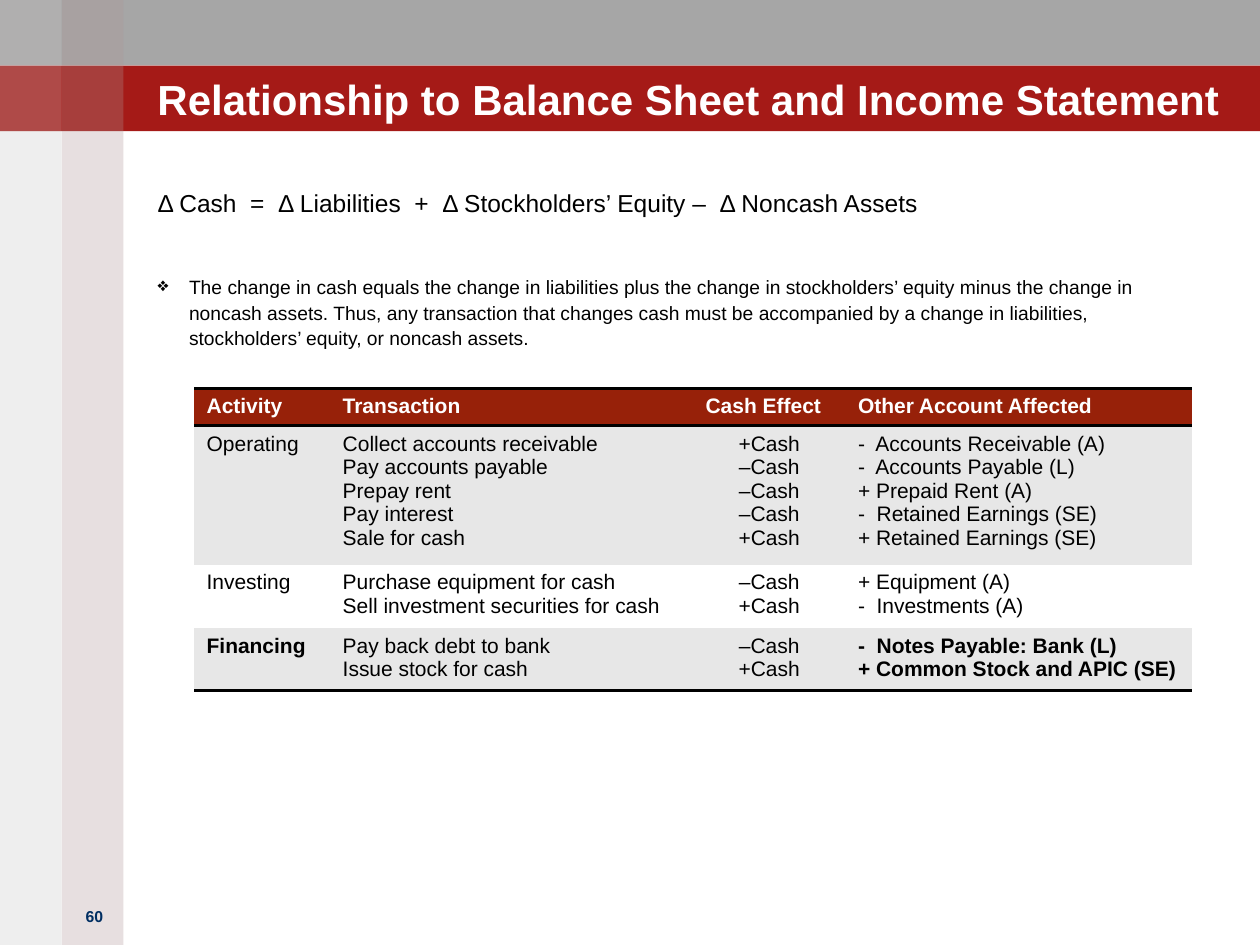
from lxml.etree import SubElement
from pptx import Presentation
from pptx.dml.color import RGBColor
from pptx.enum.shapes import MSO_SHAPE
from pptx.enum.text import MSO_ANCHOR, PP_ALIGN
from pptx.oxml.ns import qn
from pptx.util import Inches, Pt

GRAY = RGBColor(0xA6, 0xA6, 0xA6)
RED = RGBColor(0xA5, 0x1A, 0x17)
ROSE = RGBColor(0xA0, 0x82, 0x84)
TAUPE = RGBColor(0x93, 0x8F, 0x8F)
WHITE = RGBColor(0xFF, 0xFF, 0xFF)
BLACK = RGBColor(0, 0, 0)
NAVY = RGBColor(0x00, 0x2E, 0x62)
BRICK = RGBColor(0x97, 0x21, 0x09)
PALE = RGBColor(0xE7, 0xE7, 0xE7)

PLAIN_TABLE = "{2D5ABB26-0587-4C30-8999-92F81FD0307C}"
FORMULA = "Δ Cash  =  Δ Liabilities  +  Δ Stockholders’ Equity –  Δ Noncash Assets"
EXPLANATION = (
    "The change in cash equals the change in liabilities plus the change in "
    "stockholders’ equity minus the change in noncash assets. Thus, any transaction "
    "that changes cash must be accompanied by a change in liabilities, "
    "stockholders’ equity, or noncash assets."
)
HEADINGS = ["Activity", "Transaction", "Cash Effect", "Other Account Affected"]
ACTIVITIES = [
    ("Operating", [
        ("Collect accounts receivable", "+Cash", "-  Accounts Receivable (A)"),
        ("Pay accounts payable", "–Cash", "-  Accounts Payable (L)"),
        ("Prepay rent", "–Cash", "+ Prepaid Rent (A)"),
        ("Pay interest", "–Cash", "-  Retained Earnings (SE)"),
        ("Sale for cash", "+Cash", "+ Retained Earnings (SE)"),
    ]),
    ("Investing", [
        ("Purchase equipment for cash", "–Cash", "+ Equipment (A)"),
        ("Sell investment securities for cash", "+Cash", "-  Investments (A)"),
    ]),
    ("Financing", [
        ("Pay back debt to bank", "–Cash", "-  Notes Payable: Bank (L)"),
        ("Issue stock for cash", "+Cash", "+ Common Stock and APIC (SE)"),
    ]),
]


def set_format(target, values):
    """Set every attribute named in values on the target."""
    for name, value in values.items():
        setattr(target, name, value)


def write(para, text, size, color=BLACK, bold=False, **layout):
    """Put one formatted run into a paragraph."""
    span = para.add_run()
    span.text = text
    set_format(span.font, {"name": "Arial", "size": Pt(size), "bold": bold})
    span.font.color.rgb = color
    set_format(para, layout)


def add_block(page, box, color, opacity=100):
    """Add a flat rectangle with the given opacity in percent."""
    block = page.shapes.add_shape(MSO_SHAPE.RECTANGLE, *map(Inches, box))
    block.shadow.inherit = False
    block.fill.solid()
    block.fill.fore_color.rgb = color
    block.line.fill.background()
    if opacity < 100:
        tint = block.fill._xPr.find(".//" + qn("a:srgbClr"))
        SubElement(tint, qn("a:alpha"), val=str(opacity * 1000))


def add_text_frame(page, box, **values):
    """Add a wrapping text box and return its frame."""
    frame = page.shapes.add_textbox(*map(Inches, box)).text_frame
    set_format(frame, {"word_wrap": True, **values})
    return frame


def add_backdrop(page, box):
    """Draw the two header bands and the translucent side strips."""
    left, top, width, height = box
    band, strip = 0.52, 0.49
    for row, color in enumerate((GRAY, RED)):
        add_block(page, (left, top + row * band, width, band), color)
    strips = ((left + strip, ROSE, 25, 5), (left, TAUPE, 15, 15))
    for x, color, opacity, _ in strips:
        add_block(page, (x, top, strip, height), color, opacity)
    for row in range(2):
        for x, _, _, glow in strips:
            add_block(page, (x, top + row * band, strip, band), WHITE, glow)


def add_title(page, box):
    """Write the slide title on the red band."""
    frame = add_text_frame(page, box, vertical_anchor=MSO_ANCHOR.BOTTOM, margin_left=0,
                           margin_top=0, margin_right=0, margin_bottom=0)
    write(frame.paragraphs[0], "Relationship to Balance Sheet and Income Statement",
          24, WHITE, True)


def add_page_number(page, box):
    """Write the page number at the foot of the side strip."""
    frame = add_text_frame(page, box)
    write(frame.paragraphs[0], "60", 9, NAVY, True, alignment=PP_ALIGN.CENTER)


def add_body(page, box):
    """Write the cash formula and its bulleted explanation."""
    frame = add_text_frame(page, box, margin_left=0, margin_top=0,
                           margin_right=0, margin_bottom=0)
    write(frame.paragraphs[0], FORMULA, 14)
    para = frame.add_paragraph()
    write(para, EXPLANATION, 11, space_before=Pt(32), line_spacing=1.1)
    props = para._p.get_or_add_pPr()
    props.set("marL", str(Inches(0.25)))
    props.set("indent", str(-Inches(0.25)))
    SubElement(props, qn("a:buChar"), char="❖")


def add_rule(cell, side):
    """Add a black two-point border on one side of a cell."""
    line = SubElement(cell._tc.get_or_add_tcPr(), qn("a:ln" + side), w=str(Pt(2)))
    fill = SubElement(line, qn("a:solidFill"))
    SubElement(fill, qn("a:srgbClr"), val=str(BLACK))


def fill_cell(cell, lines, fill, rules="", color=BLACK, bold=False, align=PP_ALIGN.LEFT):
    """Fill a cell with one paragraph per line."""
    for side in rules:
        add_rule(cell, side)
    cell.fill.solid()
    cell.fill.fore_color.rgb = fill
    frame = cell.text_frame
    for index, text in enumerate(lines):
        para = frame.add_paragraph() if index else frame.paragraphs[0]
        write(para, text, 12, color, bold, alignment=align)


def add_activity_table(page, box):
    """Build the table of activities and the accounts they affect."""
    frame = page.shapes.add_table(len(ACTIVITIES) + 1, len(HEADINGS), *map(Inches, box))
    table = frame.table
    table._tbl.tblPr.find(qn("a:tableStyleId")).text = PLAIN_TABLE
    for column, width in zip(table.columns, (1.08, 2.88, 1.21, 2.75)):
        column.width = Inches(width)
    table.rows[0].height = Inches(0.29)
    for column, heading in enumerate(HEADINGS):
        fill_cell(table.cell(0, column), [heading], BRICK, "TB", WHITE, True)
    for row, (activity, entries) in enumerate(ACTIVITIES, 1):
        table.rows[row].height = Inches(0.1 + 0.187 * len(entries))
        last = row == len(ACTIVITIES)
        for column, lines in enumerate([[activity], *zip(*entries)]):
            fill_cell(table.cell(row, column), lines, PALE if row % 2 else WHITE,
                      "B" if last else "", bold=last and column in (0, 3),
                      align=PP_ALIGN.CENTER if column == 2 else PP_ALIGN.LEFT)


def main():
    """Build the slide and save the deck."""
    deck = Presentation()
    set_format(deck, {"slide_width": Inches(10), "slide_height": Inches(7.5)})
    page = deck.slides.add_slide(deck.slide_layouts[6])
    add_backdrop(page, (0, 0, 10, 7.5))
    add_page_number(page, (0.5, 7.15, 0.5, 0.3))
    add_title(page, (1.25, 0.31, 8.5, 0.67))
    add_body(page, (1.25, 1.49, 7.92, 1.4))
    add_activity_table(page, (1.54, 3.08, 7.92, 2.27))
    deck.save("out.pptx")


if __name__ == "__main__":
    main()
